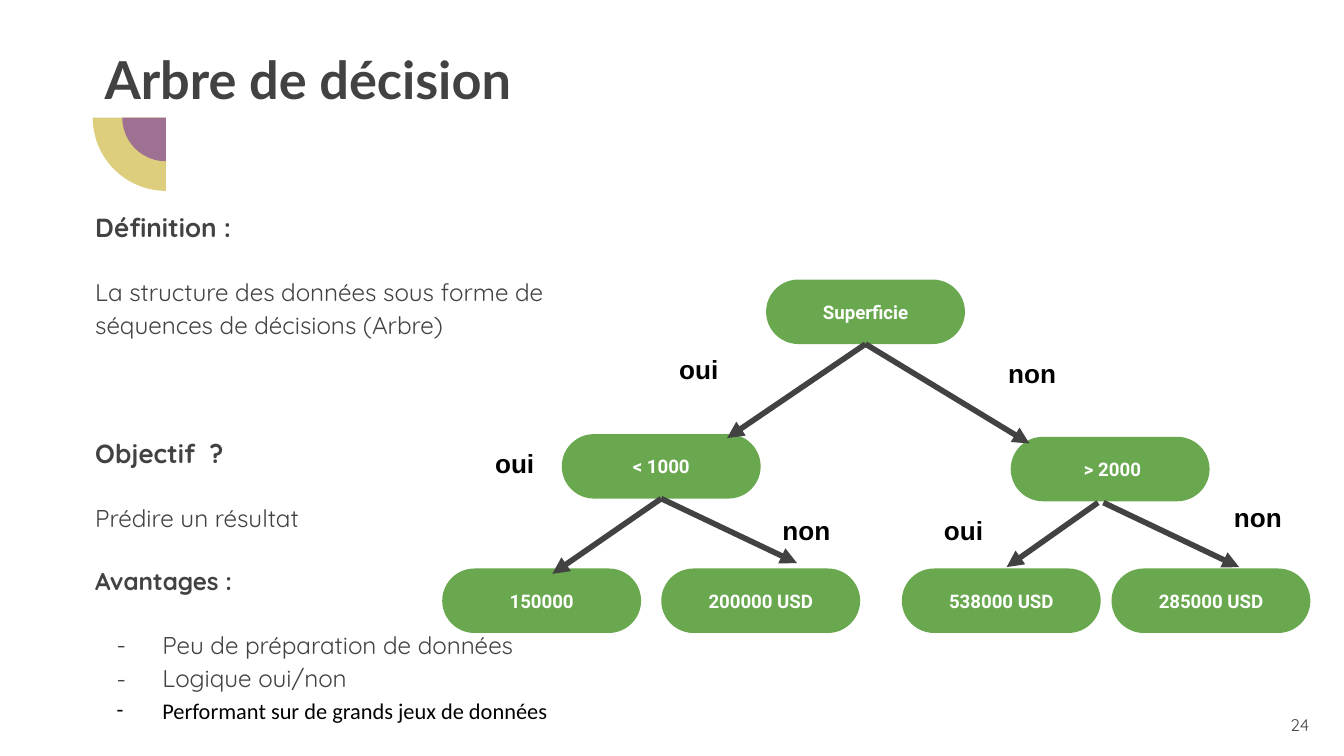
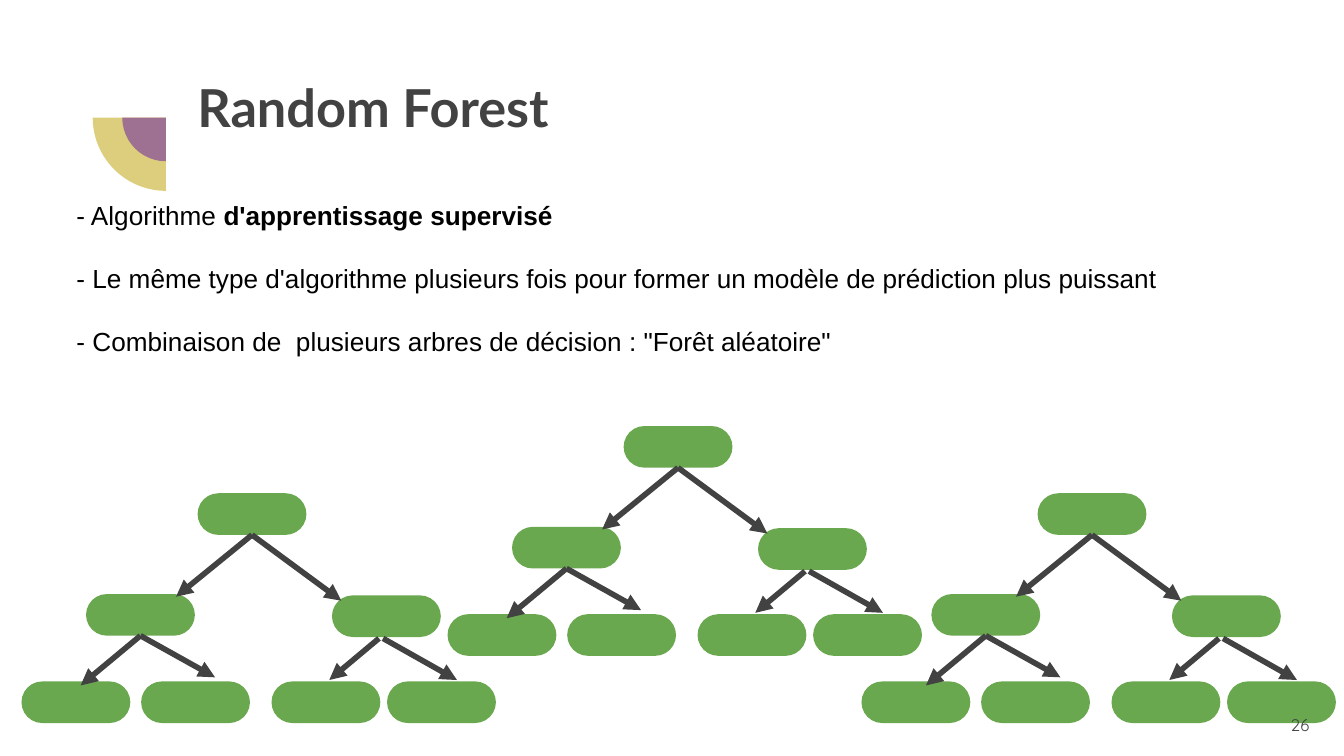
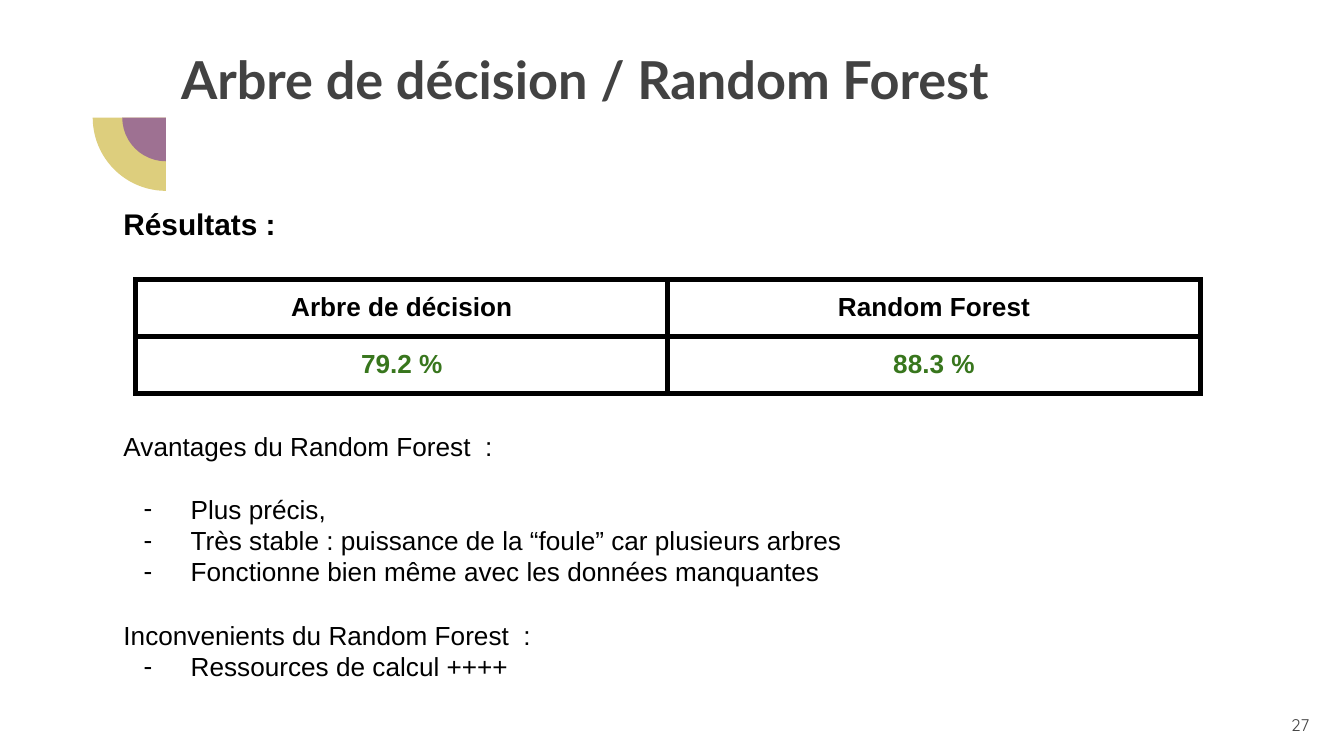
from lxml import etree
from pptx import Presentation
from pptx.dml.color import RGBColor
from pptx.enum.shapes import MSO_CONNECTOR, MSO_SHAPE
from pptx.enum.text import MSO_ANCHOR, PP_ALIGN
from pptx.oxml import parse_xml
from pptx.oxml.ns import nsdecls, qn
from pptx.util import Pt

PX = 9144  # EMU per px, 100 px to the inch

DARK = RGBColor(0x42, 0x42, 0x42)
BLACK = RGBColor(0, 0, 0)
WHITE = RGBColor(0xFF, 0xFF, 0xFF)
GREEN = RGBColor(0x6A, 0xA8, 0x4F)
DEEP_GREEN = RGBColor(0x38, 0x76, 0x1D)
YELLOW = RGBColor(0xDD, 0xCE, 0x7D)
PURPLE = RGBColor(0x9E, 0x71, 0x92)

PIE, PILL = MSO_SHAPE.PIE, MSO_SHAPE.ROUNDED_RECTANGLE
STRAIGHT = MSO_CONNECTOR.STRAIGHT
TOP, MIDDLE = MSO_ANCHOR.TOP, MSO_ANCHOR.MIDDLE
LEFT, CENTER, RIGHT = PP_ALIGN.LEFT, PP_ALIGN.CENTER, PP_ALIGN.RIGHT


def text_box(s, x, y, w, h, anchor=TOP):
    tf = s.shapes.add_textbox(x * PX, y * PX, w * PX, h * PX).text_frame
    tf.word_wrap = True
    tf.vertical_anchor = anchor
    tf.margin_left = tf.margin_right = tf.margin_top = tf.margin_bottom = 10 * PX
    return tf


def write(tf, text, p=None, size=14, font="Arial", color=BLACK, bold=False,
          align=LEFT, before=0, line=None, hang=0):
    """Add a paragraph, or a run to p; hang is the dash's hanging indent in px."""
    if p is None:
        p = tf.paragraphs[0]
        if p.runs:
            p = tf.add_paragraph()
        if hang:
            pPr = p._p.get_or_add_pPr()
            pPr.set("marL", str(50 * PX))
            pPr.set("indent", str(-hang * PX))
            etree.SubElement(pPr, qn("a:buFont")).set("typeface", font)
            etree.SubElement(pPr, qn("a:buChar")).set("char", "-")
        p.alignment = align
        p.space_before = Pt(before)
        if line:
            p.line_spacing = line
    r = p.add_run()
    r.text = text
    r.font.name, r.font.size, r.font.bold = font, Pt(size), bold
    r.font.color.rgb = color
    return p


prs = Presentation()
prs.slide_width = 1000 * PX
prs.slide_height = prs.slide_width * 9 // 16

# Quarter rings and titles
titles = [
    ("Arbre de décision", (68, 25, 769, 109), TOP),
    ("Random Forest", (137, 39, 752, 81), MIDDLE),
    ("Arbre de décision / Random Forest", (125, 18, 848, 81), MIDDLE),
]
slides = []
for title, place, anchor in titles:
    s = prs.slides.add_slide(prs.slide_layouts[6])
    slides.append(s)
    for x, y, d, color in [(69, 33, 109, YELLOW), (91, 55, 65, PURPLE)]:
        sp = s.shapes.add_shape(PIE, x * PX, y * PX, d * PX, d * PX)
        sp.adjustments[0], sp.adjustments[1] = 108, 162
        sp.rotation = 270
        sp.shadow.inherit = False
        sp.fill.solid()
        sp.fill.fore_color.rgb = color
        sp.line.fill.background()
    write(text_box(s, *place, anchor), title, size=28, font="Lato", color=DARK, bold=True)
tree_slide, forest_slide, result_slide = slides

# Decision tree: explanation
tf = text_box(tree_slide, 61, 144, 375, 394)
body = dict(font="Quicksand", color=DARK, line=1.15)
write(tf, "Définition :", bold=True, **body)
write(tf, "La structure des données sous forme de séquences de décisions (Arbre)",
      size=13, before=16, **body)
write(tf, "Objectif  ?", bold=True, before=50, **body)
write(tf, "Prédire un résultat", size=13, before=16, **body)
write(tf, "Avantages :", size=13, bold=True, before=16, **body)
write(tf, "Peu de préparation de données", size=13, before=16, hang=34, **body)
write(tf, "Logique oui/non", size=13, hang=34, **body)
write(tf, "Performant sur de grands jeux de données",
      size=12, font="Calibri", line=1.15, hang=34)

# Random forest: explanation
tf = text_box(forest_slide, 47, 120, 942, 174, MIDDLE)
p = write(tf, "- Algorithme ")
write(tf, "d'apprentissage supervisé", p=p, bold=True)
write(tf, "- Le même type d'algorithme plusieurs fois pour former un modèle "
      "de prédiction plus puissant", before=17)
write(tf, "- Combinaison de  plusieurs arbres de décision : \"Forêt aléatoire\"", before=17)

# Trees: nodes are root, left, right, four leaves; arrows go in pairs per parent
trees = [(
    tree_slide, 148, 48,
    [(570, 208, "Superficie"), (418, 323, "< 1000"), (752, 325, " > 2000"),
     (329, 423, "150000"), (492, 423, "200000 USD"),
     (671, 423, "538000 USD"), (827, 423, "285000 USD")],
    [(644, 256, 541, 326), (644, 256, 766, 330), (492, 371, 411, 427),
     (492, 371, 593, 419), (817, 374, 749, 422), (821, 374, 922, 422)],
)]
small_nodes = [(147, 367), (64, 442), (247, 443), (16, 507), (105, 507), (202, 507), (288, 507)]
small_arrows = [(188, 399, 131, 444), (188, 399, 254, 447), (105, 473, 60, 510),
                (105, 473, 160, 504), (282, 475, 245, 506), (285, 475, 340, 506)]
for dx, dy, branch in [(625, 0, 4), (0, 0, 0), (317, -50, 0)]:
    nodes = [(x + dx + (branch if i == 1 else 0), y + dy, "")
             for i, (x, y) in enumerate(small_nodes)]
    arrows = []
    for i, (x1, y1, x2, y2) in enumerate(small_arrows):
        shift = dx + (branch if i in (2, 3) else 0)
        arrows.append((x1 + shift, y1 + dy, x2 + shift, y2 + dy))
    trees.append((forest_slide, 81, 31, nodes, arrows))

for s, w, h, nodes, arrows in trees:
    pills = []
    for x, y, label in nodes:
        sp = s.shapes.add_shape(PILL, x * PX, y * PX, w * PX, h * PX)
        sp.adjustments[0] = 0.5
        sp.shadow.inherit = False
        sp.fill.solid()
        sp.fill.fore_color.rgb = GREEN
        sp.line.fill.background()
        if label:
            sp.text_frame.vertical_anchor = MIDDLE
            write(sp.text_frame, label, size=10, font="Roboto", color=WHITE,
                  bold=True, align=CENTER)
        pills.append(sp)
    for i, ends in enumerate(arrows):
        c = s.shapes.add_connector(STRAIGHT, *[v * PX for v in ends])
        if i < 4:  # root and left node start at the middle of the bottom side
            c.begin_connect(pills[i // 2], 2)
        c.line.color.rgb = DARK
        c.line.width = Pt(3)
        etree.SubElement(c.line._get_or_add_ln(), qn("a:tailEnd")).set("type", "triangle")
        etree.SubElement(c._element.spPr, qn("a:effectLst"))

# Branch labels of the decision tree
for x, y, label in [(353, 323, "oui"), (570, 373, "non"), (906, 363, "non"),
                    (687, 373, "oui"), (490, 253, "oui"), (738, 256, "non")]:
    write(text_box(tree_slide, x, y, 60, 34), label, bold=True, align=CENTER)

# Results: text
tf = text_box(result_slide, 82, 143, 848, 410)
write(tf, "Résultats :", size=16, bold=True)
write(tf, "Avantages du Random Forest  :", before=101)
write(tf, "Plus précis,", before=17, hang=35)
write(tf, "Très stable : puissance de la “foule” car plusieurs arbres", hang=35)
write(tf, "Fonctionne bien même avec les données manquantes", hang=35)
write(tf, "Inconvenients du Random Forest  :", before=17)
write(tf, "Ressources de calcul ++++", hang=35)

# Results: score table
scores = [("Arbre de décision", "Random Forest"), ("79.2 %", "88.3 %")]
table = result_slide.shapes.add_table(2, 2, 101 * PX, 208 * PX, 792 * PX, 84 * PX).table
table.first_row = table.horz_banding = False
for i, row in enumerate(scores):
    for j, value in enumerate(row):
        cell = table.cell(i, j)
        cell.margin_left = cell.margin_right = cell.margin_top = 10 * PX
        cell.margin_bottom = 9 * PX
        cell.fill.background()
        write(cell.text_frame, value, bold=True, align=CENTER,
              color=DEEP_GREEN if i else BLACK)
        tcPr = cell._tc.get_or_add_tcPr()
        for k, side in enumerate("LRTB"):
            tcPr.insert(k, parse_xml(
                f'<a:ln{side} {nsdecls("a")} w="{Pt(3)}"><a:solidFill>'
                f'<a:srgbClr val="{BLACK}"/></a:solidFill></a:ln{side}>'))

# Slide numbers
for s, number in zip(slides, (24, 26, 27)):
    write(text_box(s, 924, 518, 60, 43, MIDDLE), str(number),
          size=9, font="Quicksand", color=DARK, align=RIGHT)

prs.save("out.pptx")
